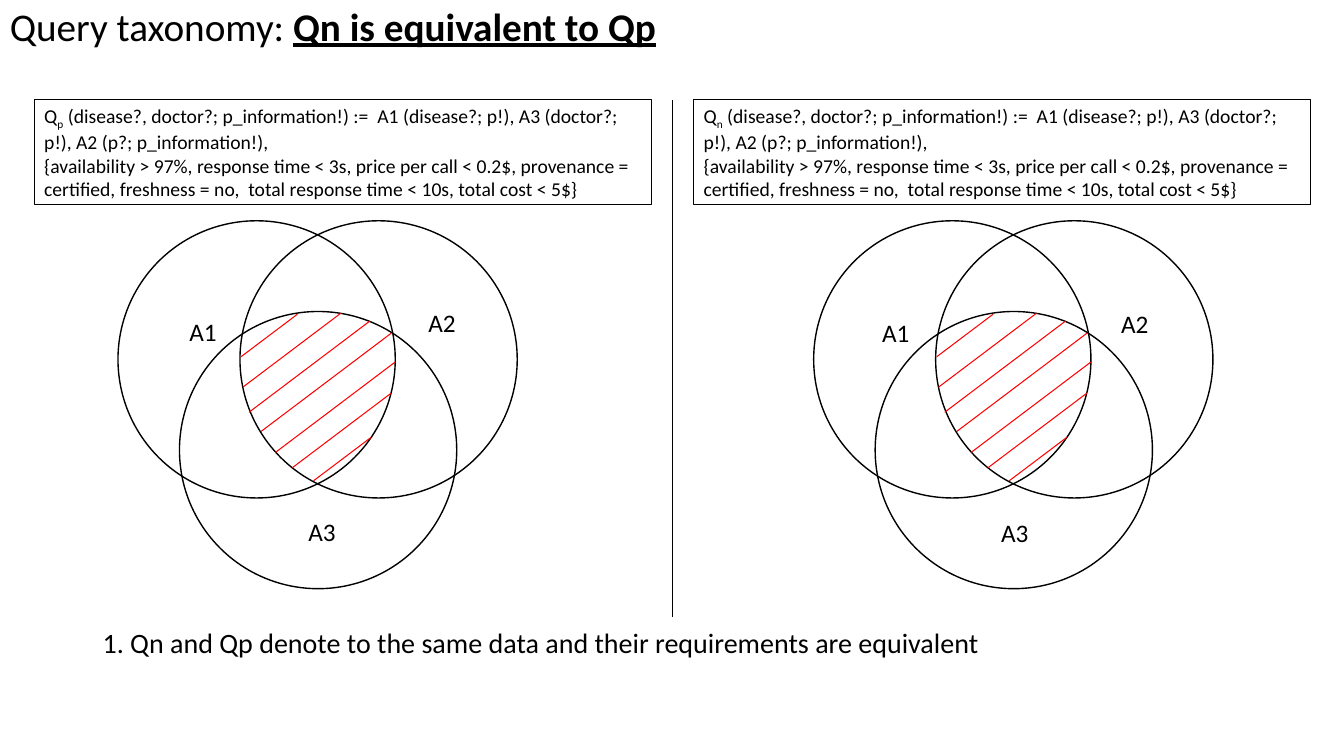
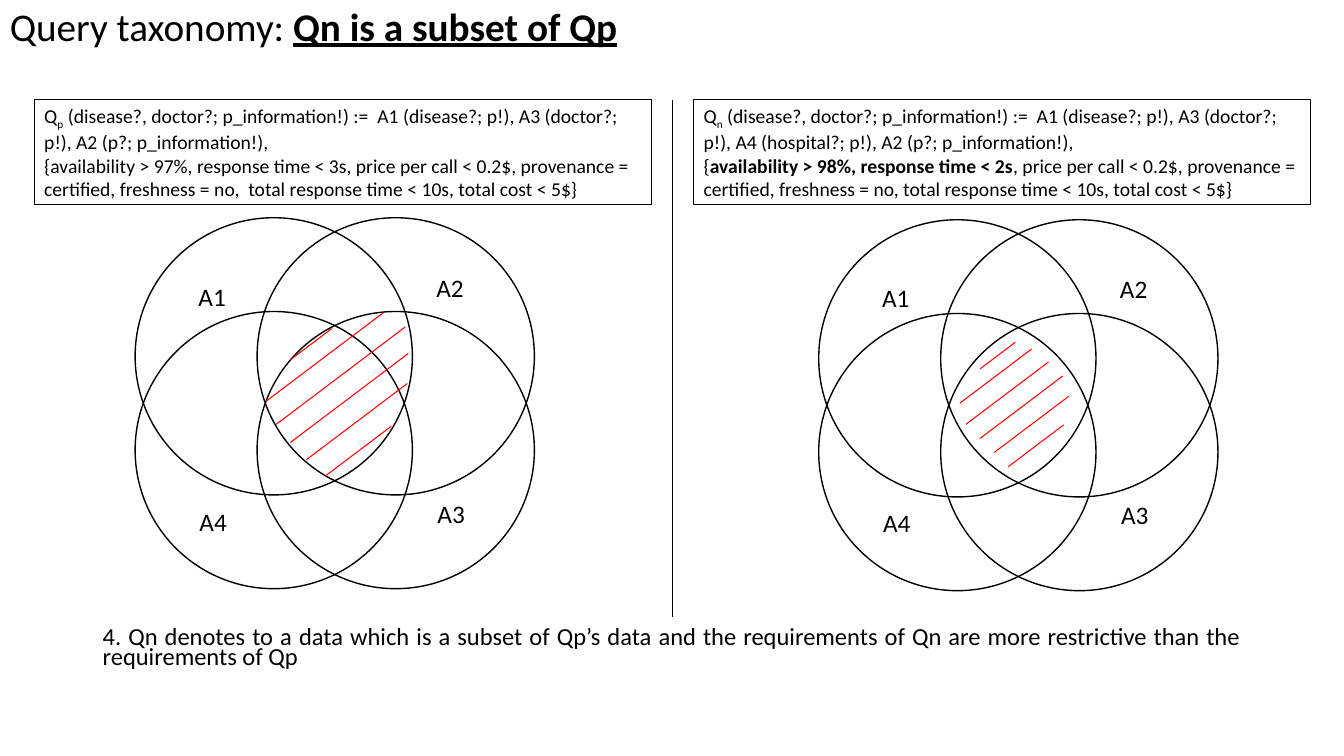
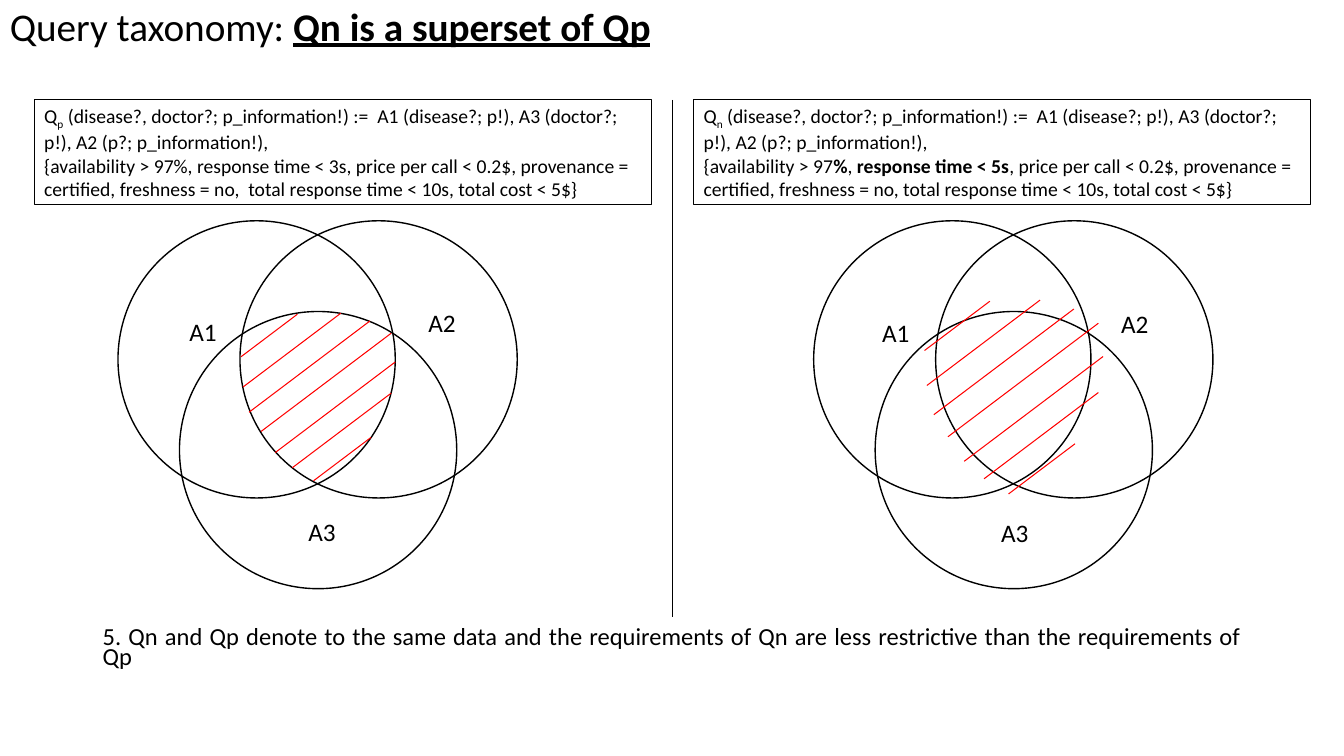
"""Build three query taxonomy slides with Venn diagrams."""
from lxml import etree
from pptx import Presentation
from pptx.dml.color import RGBColor
from pptx.enum.shapes import MSO_CONNECTOR, MSO_SHAPE
from pptx.enum.text import MSO_ANCHOR, MSO_AUTO_SIZE, PP_ALIGN
from pptx.oxml.ns import qn
from pptx.util import Inches, Pt

LINE = MSO_CONNECTOR.STRAIGHT
RECT, OVAL = MSO_SHAPE.RECTANGLE, MSO_SHAPE.OVAL
TOP, MIDDLE = MSO_ANCHOR.TOP, MSO_ANCHOR.MIDDLE
LEFT, JUSTIFY = PP_ALIGN.LEFT, PP_ALIGN.JUSTIFY
GROW, FIXED = MSO_AUTO_SIZE.SHAPE_TO_FIT_TEXT, MSO_AUTO_SIZE.NONE

COLORS = {"ink": "000000", "hatch": "FF0000"}
FONT = "Calibri"
BOLD = {"bold": True}
HEAD = {"bold": True, "underline": True}
SIZE = 2.75
SLOPE = 0.755

CALL = " (disease?, doctor?; p_information!) :=  A1 (disease?; p!), A3 (doctor?; p!), "
DATA = "A2 (p?; p_information!),"
COST = ", price per call < 0.2$, provenance = certified, freshness = no, "
TOTAL = "total response time < 10s, total cost < 5$}"
BASE = [("{availability > 97%, response time < 3s" + COST + " " + TOTAL, {})]
TIGHT = [("{", {}), ("availability > 98%, response time < 2s", BOLD), (COST + TOTAL, {})]
LOOSE = [("{availability > 97", {}), ("%", BOLD), (", ", {}),
         ("response time < 5s", BOLD), (COST + TOTAL, {})]

THREE = {
    "rings": [(0, 0), (1.21, 0), (0.61, 0.9)],
    "tags": [("A1", 0, 0), ("A2", 2.37, -0.09), ("A3", 1.18, 1.98)],
}
FOUR = {
    "rings": [(0, 0), (1.21, 0), (1.21, 0.93), (0, 0.93)],
    "tags": [("A1", 0, 0), ("A2", 2.36, -0.09), ("A3", 2.37, 2.15), ("A4", 0.01, 2.23)],
}
FULL = [(0.02, 0.73, 0.97), (0.08, 0.98, 1.2), (0.2, 1.17, 1.29), (0.34, 1.38, 1.19),
        (0.51, 1.53, 0.98), (0.72, 1.66, 0.57), (0, 0.43, 0.56)]
WIDE = [(0.1, 1.1, 1.28), (0.24, 1.28, 1.17), (0.4, 1.45, 1), (0.59, 1.61, 0.65),
        (0, 0.87, 1.16), (0.24, 0.46, 0.41)]
SMALL = [(0.06, 0.82, 0.82), (0.2, 0.96, 0.82), (0.34, 1.1, 0.74), (0.48, 1.24, 0.55),
         (0, 0.61, 0.71), (0.2, 0.27, 0.35)]

TRIO_L = (THREE, (1.17, 2.19), (1.78, 3.09), FULL, (2.39, 3.11), 1)
TRIO_R = (THREE, (8.07, 2.19), (8.65, 3.1), FULL, (9.29, 3.11), 1)
TRIO_X = (THREE, (8.07, 2.19), (8.65, 3.1), FULL, (9.17, 2.98), 1.157)
QUAD_L = (FOUR, (1.34, 2.16), (1.87, 2.74), WIDE, (2.64, 3.11), 1)
QUAD_R = (FOUR, (8.12, 2.18), (8.65, 2.75), SMALL, (9.52, 3.39), 1)

PLAIN = {"line_spacing": 0.9}
DENSE = {"line_spacing": 0.7, "alignment": JUSTIFY}
SLIDES = [
    ("Qn is equivalent to Qp", DATA, BASE, TRIO_L, TRIO_R,
     "1. Qn and Qp denote to the same data and their requirements are equivalent",
     20, PLAIN),
    ("Qn is a subset of Qp", "A4 (hospital?; p!), " + DATA, TIGHT, QUAD_L, QUAD_R,
     "4. Qn denotes to a data which is a subset of Qp’s data and the requirements "
     "of Qn are more restrictive than the requirements of Qp", 17.5, DENSE),
    ("Qn is a superset of Qp", DATA, LOOSE, TRIO_L, TRIO_X,
     "5. Qn and Qp denote to the same data and the requirements of Qn are less "
     "restrictive than the requirements of Qp", 17.5, DENSE),
]


def apply(item, form):
    """Set each attribute named in a dict."""
    for name, value in form.items():
        setattr(item, name, value)


def color(name):
    """Look up a colour."""
    return RGBColor.from_string(COLORS[name])


def write(shape, paras, size, frame, para=None):
    """Fill a shape with paragraphs of styled runs."""
    text = shape.text_frame
    apply(text, {"word_wrap": True, "vertical_anchor": TOP, "auto_size": FIXED, **frame})
    for index, runs in enumerate(paras):
        block = text.add_paragraph() if index else text.paragraphs[0]
        apply(block, {"alignment": LEFT, **(para or {})})
        for words, style in runs:
            run = block.add_run()
            run.text = words
            look = dict(style)
            base = look.pop("base", None)
            apply(run.font, {"name": FONT, "size": Pt(size), **look})
            run.font.color.rgb = color("ink")
            if base:
                run.font._element.set("baseline", str(base * 1000))


def label(slide, box, paras, size, frame, para=None):
    """Add a text box."""
    shape = slide.shapes.add_textbox(*map(Inches, box))
    write(shape, paras, size, frame, para)


def outline(slide, kind, box, width):
    """Add an unfilled shape with a black edge."""
    shape = slide.shapes.add_shape(kind, *map(Inches, box))
    shape.shadow.inherit = False
    shape.fill.background()
    shape.line.color.rgb = color("ink")
    shape.line.width = Pt(width)
    return shape


def stroke(slide, ends, tint, width):
    """Add a straight line without a shadow."""
    line = slide.shapes.add_connector(LINE, *map(Inches, ends))
    line.line.color.rgb = color(tint)
    line.line.width = Pt(width)
    etree.SubElement(line._element.spPr, qn("a:effectLst"))


def query(slide, left, sub, body, needs):
    """Add a framed query with its requirements."""
    shape = outline(slide, RECT, (left, 0.99, 6.12, 1.04), 0.75)
    first = [("Q", {}), (sub, {"base": -25}), (CALL + body, {})]
    write(shape, [first, needs], 14, {"auto_size": GROW, "vertical_anchor": MIDDLE})


def venn(slide, plan, ring, tag, lines, start, scale):
    """Add circles, a hatched area and labels."""
    for x, y in plan["rings"]:
        outline(slide, OVAL, (ring[0] + x, ring[1] + y, SIZE, SIZE), 1)
    for x, y, run in lines:
        left, low = start[0] + x * scale, start[1] + y * scale
        run *= scale
        stroke(slide, (left, low, left + run, low - run * SLOPE), "hatch", 0.75)
    for name, x, y in plan["tags"]:
        label(slide, (tag[0] + x, tag[1] + y, 0.48, 0.4), [[(name, {})]], 18,
              {"word_wrap": False, "auto_size": GROW})


def build(slide, topic, body, needs, left, right, note, size, para):
    """Compose one comparison slide."""
    label(slide, (0, 0, 11.5, 0.57), [[("Query taxonomy: ", {}), (topic, HEAD)]], 28,
          {"vertical_anchor": MIDDLE}, PLAIN)
    label(slide, (0.92, 6.19, 11.5, 0.56), [[(note, {})]], size, {}, para)
    query(slide, 0.34, "p", DATA, BASE)
    query(slide, 6.88, "n", body, needs)
    stroke(slide, (6.67, 0.99, 6.67, 6.12), "ink", 0.5)
    venn(slide, *left)
    venn(slide, *right)


def main():
    """Create and save the deck."""
    deck = Presentation()
    apply(deck, {"slide_width": Inches(13.33), "slide_height": Inches(7.5)})
    for page in SLIDES:
        build(deck.slides.add_slide(deck.slide_layouts[6]), *page)
    deck.save("out.pptx")


if __name__ == "__main__":
    main()
